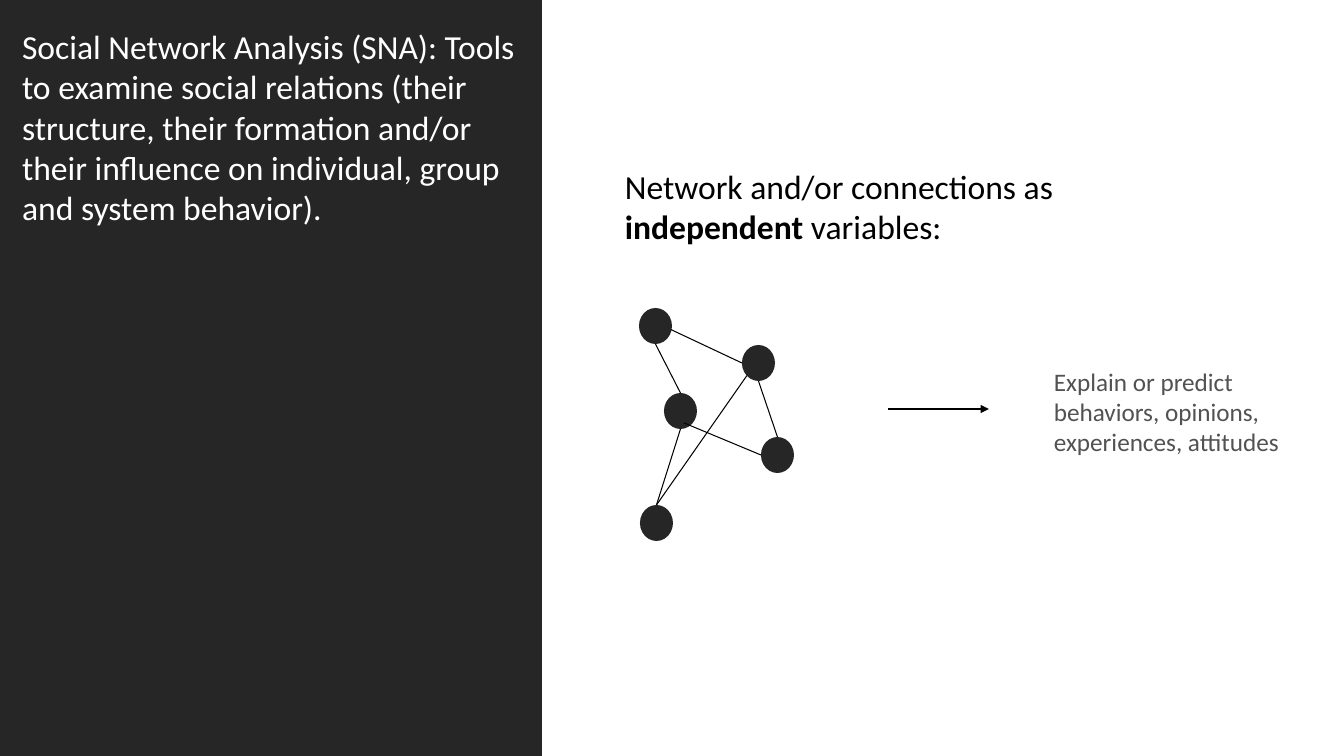
from dataclasses import dataclass
from lxml.etree import SubElement
from pptx import Presentation
from pptx.dml.color import RGBColor
from pptx.enum.shapes import MSO_CONNECTOR, MSO_SHAPE
from pptx.enum.text import MSO_ANCHOR, MSO_AUTO_SIZE, PP_ALIGN
from pptx.oxml.ns import qn
from pptx.util import Pt

# Content: text as (words, bold) runs, boxes as left, top, width, height in px
TITLE = [("Social Network Analysis (SNA): Tools to examine social relations "
          "(their structure, their formation and/or their influence on "
          "individual, group and system behavior).", False)]
CAUSE = [("Network and/or connections as ", False), ("independent", True),
         (" variables:", False)]
EFFECT = [("Explain or predict behaviors, opinions, experiences, attitudes", False)]

PANEL = (0, 0, 542, 756)
TITLE_BOX = (12, 21, 514, 214)
CAUSE_BOX = (615, 161, 481, 92)
EFFECT_BOX = (1044, 361, 276, 102)
ARROW = ((888, 409), (989, 409))

# Network: corner of each node, ports as shares of a node, ties between ports
NODE_SIZE = (33, 36)
NODES = {"A": (639, 308), "B": (664, 393), "C": (742, 345),
         "D": (761, 437), "E": (640, 505)}
PORTS = {"top": (0.5, 0), "bottom": (0.5, 1), "left": (0, 0.5),
         "low left": (0.15, 0.85), "right": (0.97, 0.6), "inner": (0.6, 0.83)}
TIES = [("A", "bottom", "B", "top"), ("A", "right", "C", "left"),
        ("C", "bottom", "D", "top"), ("C", "low left", "E", "top"),
        ("B", "bottom", "E", "top"), ("B", "inner", "D", "left")]


@dataclass(frozen=True)
class Theme:
    font: str = "Calibri"
    dark: str = "262626"
    black: str = "000000"
    grey: str = "525252"
    white: str = "FFFFFF"
    large: int = 24
    small: int = 18
    line: float = 0.75


THEME = Theme()
EMU_PER_PX = 914400 / 100.8


def px(*lengths):
    return [round(n * EMU_PER_PX) for n in lengths]


def add_solid(shapes, kind, box):
    shape = shapes.add_shape(kind, *px(*box))
    shape.shadow.inherit = False
    shape.fill.solid()
    shape.fill.fore_color.rgb = RGBColor.from_string(THEME.dark)
    shape.line.fill.background()


def add_line(shapes, start, end, arrow=False):
    line = shapes.add_connector(MSO_CONNECTOR.STRAIGHT, *px(*start, *end))
    line.line.color.rgb = RGBColor.from_string(THEME.black)
    line.line.width = Pt(THEME.line)
    if arrow:
        SubElement(line.line._get_or_add_ln(), qn("a:tailEnd"), type="triangle")
    SubElement(line.element.spPr, qn("a:effectLst"))


def write(shape, runs, size, color):
    frame = shape.text_frame
    frame.word_wrap = True
    frame.auto_size = MSO_AUTO_SIZE.NONE
    frame.vertical_anchor = MSO_ANCHOR.TOP
    para = frame.paragraphs[0]
    para.alignment = PP_ALIGN.LEFT
    for words, bold in runs:
        run = para.add_run()
        run.text = words
        run.font.name = THEME.font
        run.font.size = Pt(size)
        run.font.bold = bold
        run.font.color.rgb = RGBColor.from_string(color)


def port(node, side):
    return [corner + share * length for corner, share, length
            in zip(NODES[node], PORTS[side], NODE_SIZE)]


def main():
    deck = Presentation()
    deck.slide_width, deck.slide_height = px(1344, 756)
    slide = deck.slides.add_slide(deck.slide_layouts[5])
    shapes = slide.shapes

    # Dark panel with the title in front of it
    add_solid(shapes, MSO_SHAPE.RECTANGLE, PANEL)
    title = shapes.title
    title.left, title.top, title.width, title.height = px(*TITLE_BOX)
    write(title, TITLE, THEME.large, THEME.white)
    shapes.element.append(title.element)

    # Network of nodes and ties
    for corner in NODES.values():
        add_solid(shapes, MSO_SHAPE.OVAL, corner + NODE_SIZE)
    for first, out, last, into in TIES:
        add_line(shapes, port(first, out), port(last, into))

    # Arrow from the network to what it explains
    add_line(shapes, *ARROW, arrow=True)
    for box, runs, size, color in [
            (CAUSE_BOX, CAUSE, THEME.large, THEME.black),
            (EFFECT_BOX, EFFECT, THEME.small, THEME.grey)]:
        write(shapes.add_textbox(*px(*box)), runs, size, color)

    deck.save("out.pptx")


if __name__ == "__main__":
    main()
